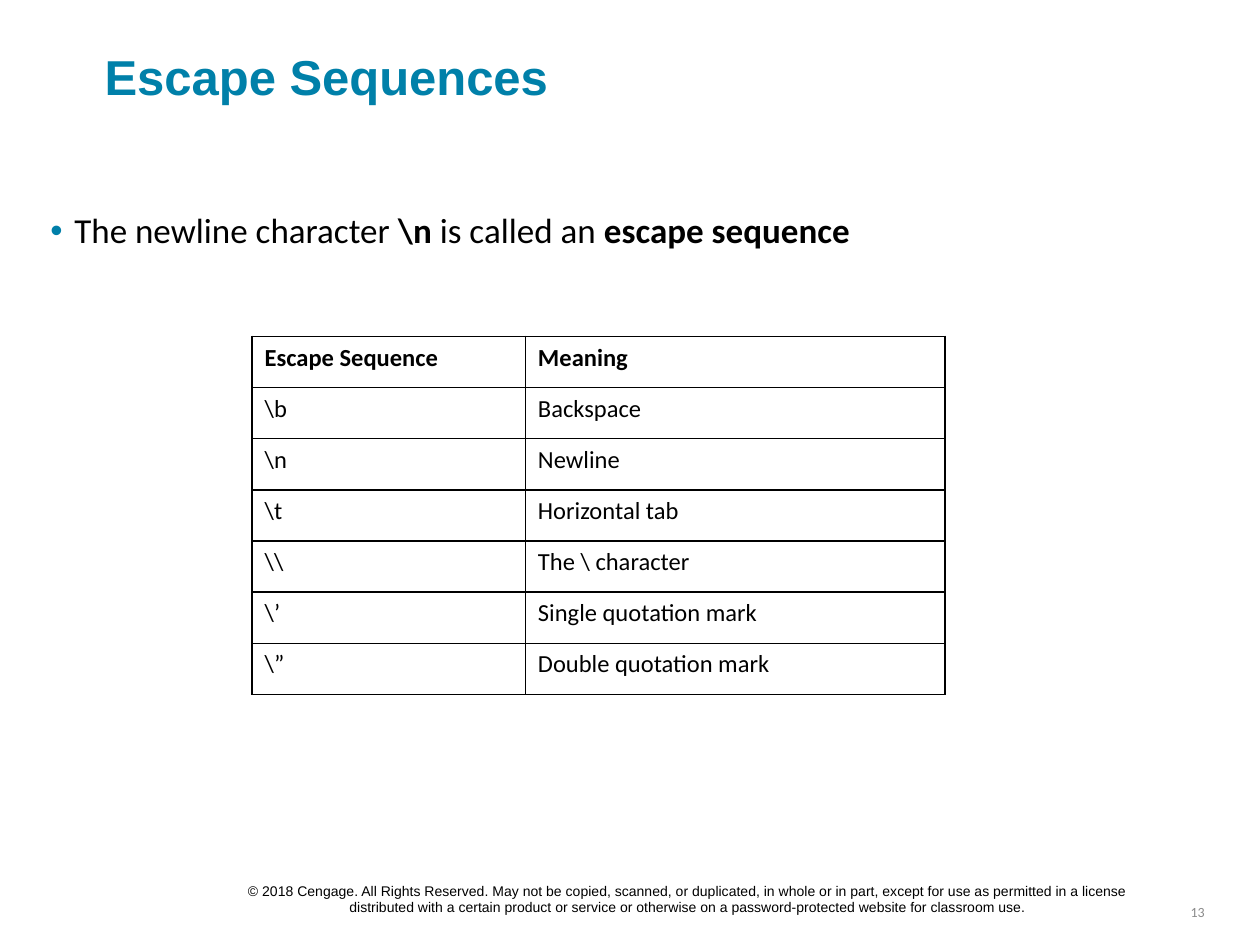
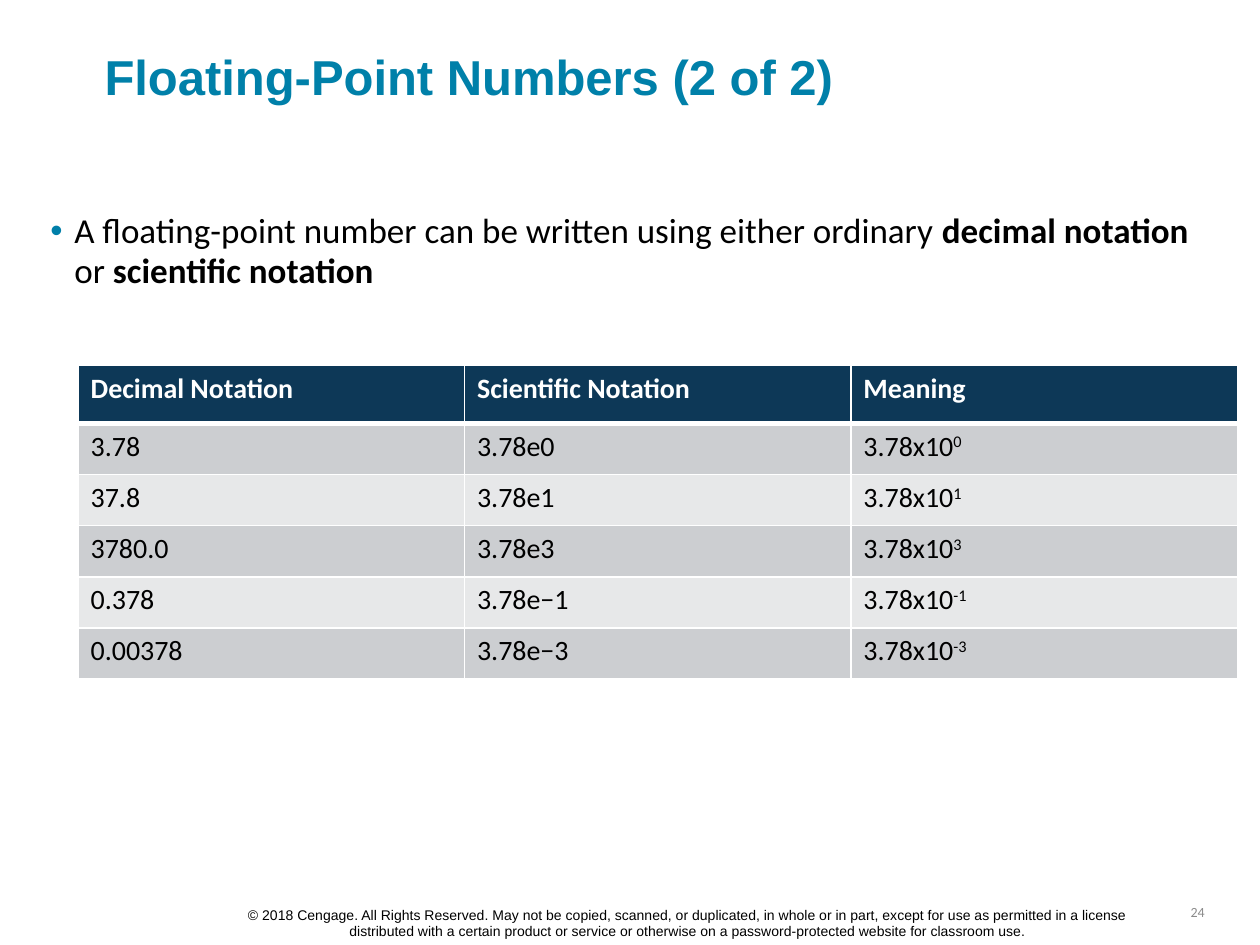
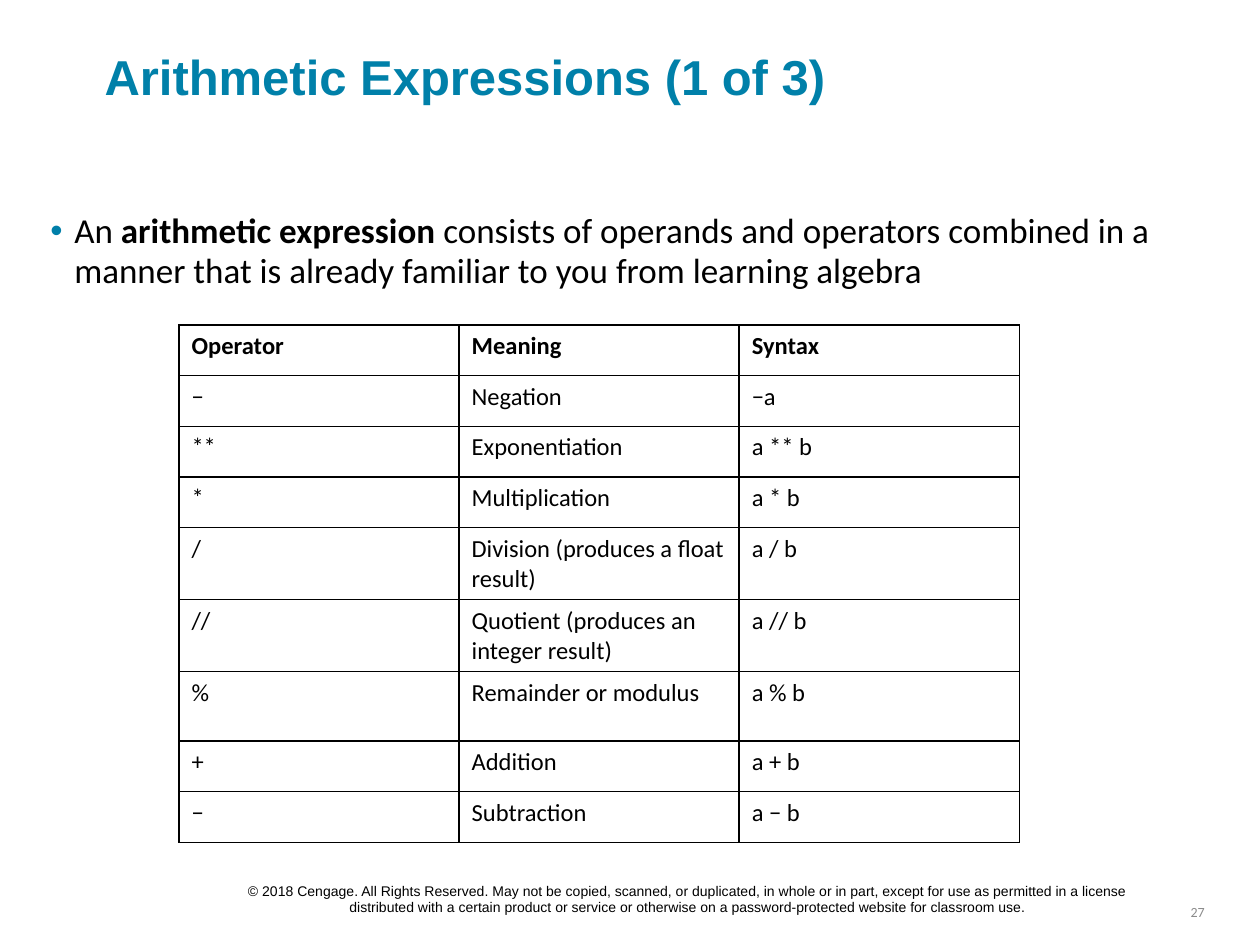
import pptx
import pptx.util
import pptx.dml.color
import pptx.enum.text
import pptx.oxml
import pptx.oxml.ns

RGBColor = pptx.dml.color.RGBColor
Pt = pptx.util.Pt
ALIGN = pptx.enum.text.PP_ALIGN
MIDDLE = pptx.enum.text.MSO_ANCHOR.MIDDLE
TOP = pptx.enum.text.MSO_ANCHOR.TOP
NS = pptx.oxml.ns.nsdecls("a")

TITLE_BLUE = RGBColor(0x00, 0x80, 0xA9)
BULLET_BLUE = RGBColor(0x00, 0x7F, 0xA9)
NAVY = RGBColor(0x0D, 0x38, 0x57)
BAND_DARK = RGBColor(0xCC, 0xCE, 0xD1)
BAND_LIGHT = RGBColor(0xE7, 0xE8, 0xE9)
NUMBER_GRAY = RGBColor(0x8B, 0x8B, 0x8B)
BLACK = RGBColor(0, 0, 0)
WHITE = RGBColor(255, 255, 255)

TITLE = {"size": Pt(28), "name": "Arial", "color": TITLE_BLUE, "bold": True}
BODY = {"size": Pt(20), "name": "Calibri", "color": BLACK, "bold": False}
FOOTER = {"size": Pt(8), "name": "Arial", "color": BLACK}
NUMBER = {"size": Pt(8), "name": "Calibri", "color": NUMBER_GRAY}

COPYRIGHT = (
    "© 2018 Cengage. All Rights Reserved. May not be copied, scanned, or duplicated, "
    "in whole or in part, except for use as permitted in a license distributed with "
    "a certain product or service or otherwise on a password-protected website for "
    "classroom use."
)

prs = pptx.Presentation()
prs.slide_width = pptx.util.Inches(10)
prs.slide_height = pptx.util.Inches(7.5)
COL = prs.slide_width / 100
ROW = prs.slide_height / 75

PLAIN = {"size": 14, "border": BLACK, "header_border": 0.96,
         "header_color": BLACK, "fills": None}
BANDED = {"size": 16, "border": WHITE, "header_border": 3,
          "header_color": WHITE, "fills": (NAVY, BAND_DARK, BAND_LIGHT)}

# In body text | switches bold; in cells ^ starts a superscript.
# Boxes are (left, top, width, height) in grid columns and rows.
SLIDES = [
    {
        "number": "13",
        "title": "Escape Sequences",
        "title_box": (8.3, 3.7, 87.8, 4.7),
        "body": "The newline character |\\n |is called an |escape sequence",
        "body_rows": 3.2,
        "footer_top": 70,
        "table_at": (20, 26.7),
        "cols": [21.7, 33.3],
        "rows": [4.06] * 7,
        "style": PLAIN,
        "cells": [
            ("Escape Sequence", "Meaning"),
            ("\\b", "Backspace"),
            ("\\n", "Newline"),
            ("\\t", "Horizontal tab"),
            ("\\\\", "The \\ character"),
            ("\\’", "Single quotation mark"),
            ("\\”", "Double quotation mark"),
        ],
    },
    {
        "number": "24",
        "title": "Floating-Point Numbers (2 of 2)",
        "title_box": (8.3, 4.4, 87.8, 3.2),
        "body": "A floating-point number can be written using either ordinary "
                "|decimal notation |or |scientific notation",
        "body_rows": 15.4,
        "footer_top": 71.9,
        "table_at": (6.2, 29),
        "cols": [92 / 3] * 3,
        "rows": [4.6] + [4.06] * 5,
        "style": BANDED,
        "cells": [
            ("Decimal Notation", "Scientific Notation", "Meaning"),
            ("3.78", "3.78e0", "3.78x10^0"),
            ("37.8", "3.78e1", "3.78x10^1"),
            ("3780.0", "3.78e3", "3.78x10^3"),
            ("0.378", "3.78e−1", "3.78x10^-1"),
            ("0.00378", "3.78e−3", "3.78x10^-3"),
        ],
    },
    {
        "number": "27",
        "title": "Arithmetic Expressions (1 of 3)",
        "title_box": (8.3, 3.7, 87.8, 4.7),
        "body": "An |arithmetic expression |consists of operands and operators combined "
                "in a manner that is already familiar to you from learning algebra",
        "body_rows": 6.4,
        "footer_top": 70,
        "table_at": (14.2, 25.8),
        "cols": [66.7 / 3] * 3,
        "rows": [4.02] * 4 + [5.72] * 2 + [5.5] + [4.02] * 2,
        "style": PLAIN,
        "cells": [
            ("Operator", "Meaning", "Syntax"),
            ("−", "Negation", "−a"),
            ("**", "Exponentiation", "a ** b"),
            ("*", "Multiplication", "a * b"),
            ("/", "Division (produces a float result)", "a / b"),
            ("//", "Quotient (produces an integer result)", "a // b"),
            ("%", "Remainder or modulus", "a % b"),
            ("+", "Addition", "a + b"),
            ("−", "Subtraction", "a − b"),
        ],
    },
]


def add_run(p, text, font):
    r = p.add_run()
    r.text = text
    for key, value in font.items():
        if key == "color":
            r.font.color.rgb = value
        else:
            setattr(r.font, key, value)
    return r


def add_box(s, box, anchor, align, inset):
    """Add an empty text box on the grid and return its first paragraph."""
    x, y, w, h = box
    sp = s.shapes.add_textbox(int(x * COL), int(y * ROW), int(w * COL), int(h * ROW))
    tf = sp.text_frame
    tf.word_wrap = True
    tf.vertical_anchor = anchor
    if not inset:
        for side in ("left", "top", "right", "bottom"):
            setattr(tf, f"margin_{side}", 0)
    p = tf.paragraphs[0]
    p.alignment = align
    return p


for spec_of_slide in SLIDES:
    d = spec_of_slide
    s = prs.slides.add_slide(prs.slide_layouts[6])

    p = add_box(s, (89.9, 71.2, 6.7, 2.4), MIDDLE, ALIGN.RIGHT, True)
    add_run(p, d["number"], NUMBER)
    p = add_box(s, d["title_box"], MIDDLE, ALIGN.LEFT, False)
    add_run(p, d["title"], TITLE)

    p = add_box(s, (4, 16.8, 92, d["body_rows"]), TOP, ALIGN.LEFT, False)
    p.line_spacing = 0.95
    pPr = p._p.get_or_add_pPr()
    pPr.set("marL", str(int(1.9 * COL)))
    pPr.set("indent", str(int(-1.9 * COL)))
    for xml in (f'<a:buClr {NS}><a:srgbClr val="{BULLET_BLUE}"/></a:buClr>',
                f'<a:buFont {NS} typeface="Arial"/>',
                f'<a:buChar {NS} char="•"/>'):
        pPr.append(pptx.oxml.parse_xml(xml))
    for i, part in enumerate(d["body"].split("|")):
        add_run(p, part, {**BODY, "bold": i % 2 == 1})

    style, cols, rows = d["style"], d["cols"], d["rows"]
    x, y = d["table_at"]
    table = s.shapes.add_table(
        len(rows), len(cols), int(x * COL), int(y * ROW),
        int(sum(cols) * COL), int(sum(rows) * ROW)).table
    table.first_row = table.horz_banding = False
    for column, width in zip(table.columns, cols):
        column.width = int(width * COL)
    for i, (row, height) in enumerate(zip(table.rows, rows)):
        row.height = int(height * ROW)
        font = {"size": Pt(style["size"]), "name": "Calibri", "bold": i == 0,
                "color": style["header_color"] if i == 0 else BLACK}
        # The line under the header belongs to both cells that meet there.
        widths = {"L": 0.96, "R": 0.96,
                  "T": style["header_border"] if i == 1 else 0.96,
                  "B": style["header_border"] if i == 0 else 0.96}
        for cell, text in zip(row.cells, d["cells"][i]):
            tcPr = cell._tc.get_or_add_tcPr()
            for side, width in widths.items():
                tcPr.append(pptx.oxml.parse_xml(
                    f'<a:ln{side} {NS} w="{Pt(width)}"><a:solidFill>'
                    f'<a:srgbClr val="{style["border"]}"/></a:solidFill></a:ln{side}>'))
            if style["fills"]:
                header, dark, light = style["fills"]
                cell.fill.solid()
                cell.fill.fore_color.rgb = header if i == 0 else (light, dark)[i % 2]
            else:
                cell.fill.background()
            p = cell.text_frame.paragraphs[0]
            base, _, power = text.partition("^")
            add_run(p, base, font)
            if power:
                r = add_run(p, power, font)
                r._r.get_or_add_rPr().set("baseline", "30000")

    p = add_box(s, (17.5, d["footer_top"], 74.2, 2.7), MIDDLE, ALIGN.CENTER, True)
    add_run(p, COPYRIGHT, FOOTER)

prs.save("out.pptx")
